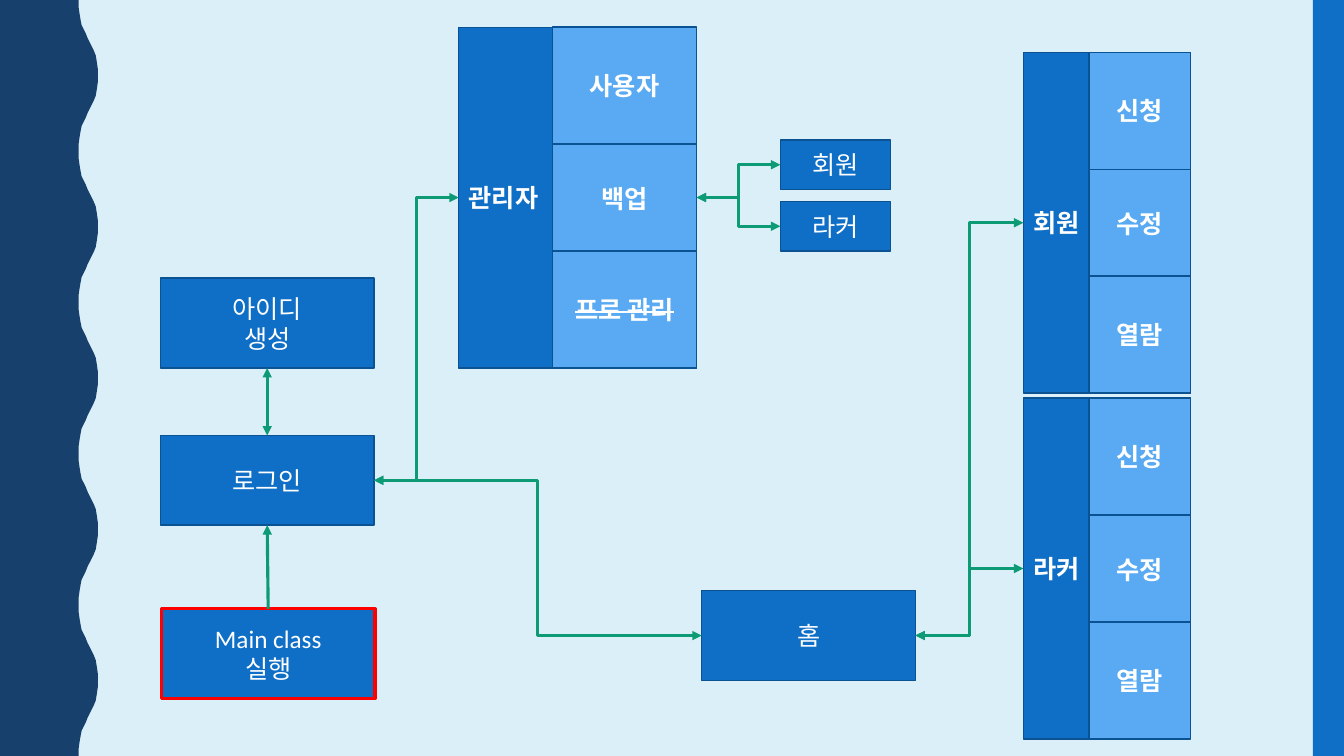
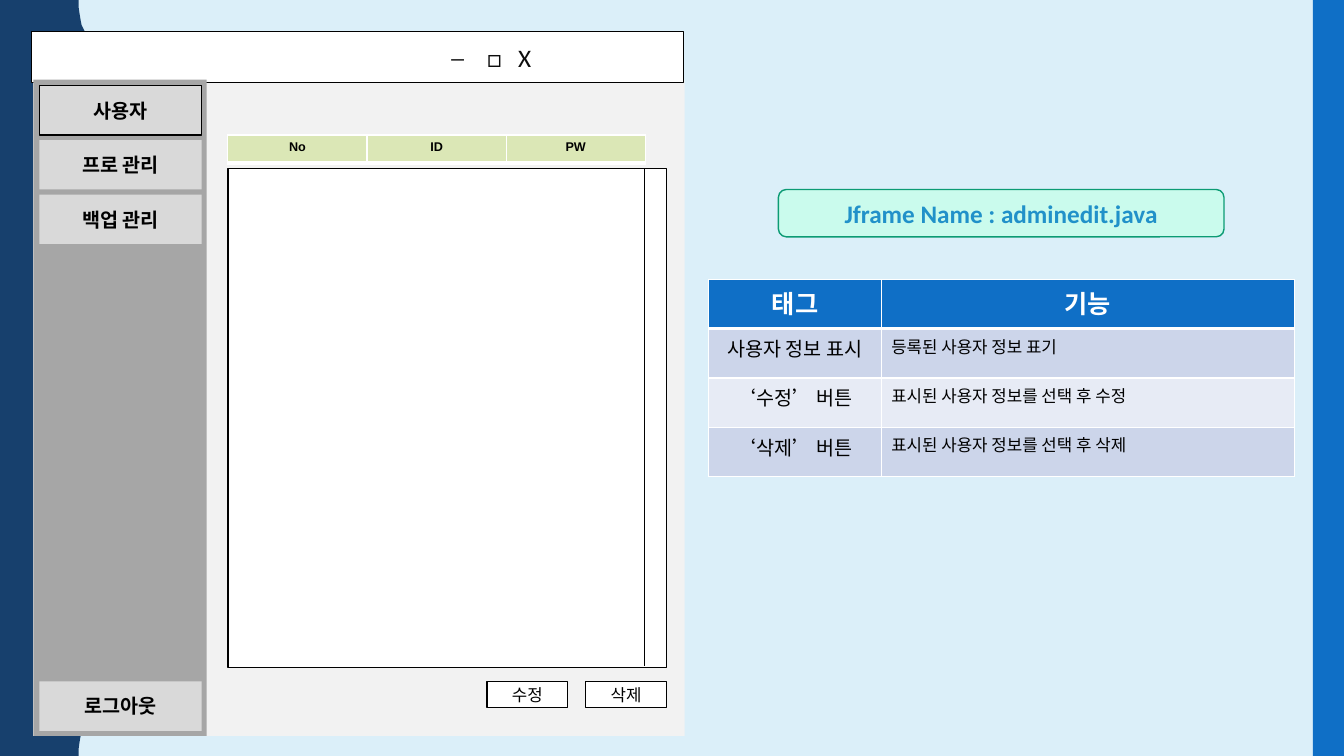
from lxml import etree
from pptx import Presentation
from pptx.dml.color import RGBColor
from pptx.enum.shapes import MSO_CONNECTOR, MSO_SHAPE
from pptx.enum.text import MSO_ANCHOR, PP_ALIGN
from pptx.oxml.ns import qn
from pptx.util import Inches, Pt

COLORS = {
    "sky": "DBEFF9", "navy": "17406D", "blue": "0F6FC6", "edge": "0B5292",
    "light_blue": "59AAF2", "green": "0C9B74", "mint": "CAFBED", "cyan": "2191C9",
    "red": "FF0000", "white": "FFFFFF", "black": "000000", "ink": "0D0D0D",
    "panel": "F2F2F2", "sidebar": "A6A6A6", "button": "D9D9D9",
    "lime": "DBE7B6", "row_dark": "CCD5EA", "row_light": "E7EBF5",
}
KOREAN = "Noto Sans CJK KR"
SLIDE_W, SLIDE_H = 13.33, 7.5
TOP, LEFT, BOTTOM, RIGHT = range(4)  # connection sites of a rectangle

# Half of one wave: (distance down, distance right)
WAVE_X, WAVE_PERIOD = 0.78, 1.5
WAVE = [(0, 0), (0.07, 0), (0.14, 0.01), (0.2, 0.02), (0.25, 0.03),
        (0.29, 0.05), (0.33, 0.07), (0.38, 0.09), (0.42, 0.11), (0.46, 0.13),
        (0.5, 0.15), (0.55, 0.17), (0.61, 0.18), (0.68, 0.19), (0.75, 0.19)]


def rgb(name):
    return RGBColor.from_string(COLORS[name])


def add_xml(parent, tag, **attrs):
    return etree.SubElement(parent, qn(tag), attrs)


def paint(sp, fill, line=None, width=1):
    sp.shadow.inherit = False
    sp.fill.solid()
    sp.fill.fore_color.rgb = rgb(fill)
    if line:
        sp.line.color.rgb = rgb(line)
        sp.line.width = Pt(width)
    else:
        sp.line.fill.background()


def write(tf, text, size, color, font="Arial", bold=False, align=PP_ALIGN.CENTER):
    tf.text = text
    for p in tf.paragraphs:
        p.alignment = align
        for r in p.runs:
            r.font.size = Pt(size)
            r.font.bold = bold
            r.font.name = font
            r.font.color.rgb = rgb(color)
            add_xml(r.font._element, "a:ea", typeface=KOREAN)


def add_box(shapes, at, fill, line=None, width=1, kind=MSO_SHAPE.RECTANGLE,
            text=None, **style):
    sp = shapes.add_shape(kind, *map(Inches, at))
    paint(sp, fill, line, width)
    if text:
        sp.text_frame.word_wrap = True
        sp.text_frame.vertical_anchor = MSO_ANCHOR.MIDDLE
        write(sp.text_frame, text, **style)
    return sp


def add_node(shapes, at, text, fill="blue", line="edge", width=1, **style):
    return add_box(shapes, at, fill, line, width, text=text,
                   size=18, color="white", **style)


def add_line(shapes, kind, start, end, color, width):
    line = shapes.add_connector(kind, *map(Inches, start + end))
    line.line.color.rgb = rgb(color)
    line.line.width = Pt(width)
    add_xml(line._element.spPr, "a:effectLst")
    return line


def link(slide, begin, begin_site, end, end_site,
         kind=MSO_CONNECTOR.ELBOW, both=True):
    """Join two shapes with a green arrow."""
    line = add_line(slide.shapes, kind, (0, 0), (1, 1), "green", 2.25)
    line.begin_connect(begin, begin_site)
    line.end_connect(end, end_site)
    ln = line.line._get_or_add_ln()
    if both:
        add_xml(ln, "a:headEnd", type="triangle")
    add_xml(ln, "a:tailEnd", type="triangle")


def add_menu(slide, x, y, label_w, item_w, label, items, struck=None):
    """Labelled frame with three stacked items; returns the frame."""
    shapes = slide.shapes.add_group_shape().shapes
    frame = add_node(shapes, (x, y, label_w + item_w, 3.38), label,
                     bold=True, align=PP_ALIGN.LEFT)
    offsets = (0, 1.12, 2.22)
    for i in (1, 0, 2):  # the outer items overlap the middle one
        sp = add_node(shapes, (x + label_w, y + offsets[i], item_w, 1.16),
                      items[i], "light_blue", bold=True)
        if items[i] == struck:
            sp.text_frame.paragraphs[0].runs[0].font._element.set("strike", "sngStrike")
    return frame


def set_borders(cell, bottom=1):
    tc_pr = cell._tc.get_or_add_tcPr()
    sides = (("a:lnL", 1), ("a:lnR", 1), ("a:lnT", 1), ("a:lnB", bottom))
    for i, (tag, width) in enumerate(sides):
        ln = etree.Element(qn(tag), w=str(Pt(width)))
        add_xml(add_xml(ln, "a:solidFill"), "a:srgbClr", val=COLORS["white"])
        tc_pr.insert(i, ln)


def add_grid(slide, x, y, widths, row_h, rows, fills, styles):
    """Table with one fill per row; styles(row, column) gives the text style."""
    table = slide.shapes.add_table(
        len(rows), len(widths), Inches(x), Inches(y),
        Inches(sum(widths)), Inches(row_h * len(rows))).table
    for column, w in zip(table.columns, widths):
        column.width = Inches(w)
    for i, row in enumerate(rows):
        table.rows[i].height = Inches(row_h)
        for j, text in enumerate(row):
            cell = table.cell(i, j)
            cell.fill.solid()
            cell.fill.fore_color.rgb = rgb(fills[i])
            set_borders(cell, bottom=1 if i else 3)
            write(cell.text_frame, text, **styles(i, j))


def decorate_layout(layout, slide):
    """Put the background, wave and side bar on the shared layout."""
    layout.background.fill.solid()
    layout.background.fill.fore_color.rgb = rgb("sky")
    edge = []
    for k in range(round(SLIDE_H / WAVE_PERIOD)):
        top = k * WAVE_PERIOD
        edge += [(WAVE_X + dx, top + dy) for dy, dx in WAVE]
        edge += [(WAVE_X + dx, top + WAVE_PERIOD - dy) for dy, dx in WAVE[-2::-1]]
    builder = slide.shapes.build_freeform(0, 0, scale=1.0)
    builder.add_line_segments(
        [(Inches(x), Inches(y)) for x, y in edge + [(0, SLIDE_H)]], close=True)
    wave = builder.convert_to_shape()
    paint(wave, "navy")
    bar = add_box(slide.shapes, (13.02, 0, 0.31, SLIDE_H), "blue")
    for sp in (wave, bar):
        layout.shapes._spTree.append(sp._element)


def build_flow(slide):
    shapes = slide.shapes
    # Start, login and home
    main_class = add_node(shapes, (1.6, 6.04, 2.12, 0.89), "Main class\n실행",
                          line="red", width=2.25, font="Calibri")
    login, new_id, home = [
        add_node(shapes, (x, y, 2.12, 0.89), text, font="Calibri")
        for x, y, text in ((1.59, 4.32, "로그인"), (1.59, 2.76, "아이디\n생성"),
                           (6.96, 5.86, "홈"))]
    # Menus
    edits = ("신청", "수정", "열람")
    member = add_menu(slide, 10.15, 0.52, 0.65, 1.01, "회원", edits)
    locker = add_menu(slide, 10.15, 3.95, 0.65, 1.01, "라커", edits)
    admin = add_menu(slide, 4.55, 0.27, 0.93, 1.43, "관리자",
                     ("사용자", "백업", "프로 관리"), struck="프로 관리")
    backups = [add_node(shapes, (7.74, y, 1.09, 0.49), text)
               for y, text in ((1.39, "회원"), (2, "라커"))]
    # Arrows
    link(slide, main_class, TOP, login, BOTTOM, MSO_CONNECTOR.STRAIGHT, both=False)
    link(slide, login, TOP, new_id, BOTTOM, MSO_CONNECTOR.STRAIGHT)
    pairs = [(login, admin), (login, home), (home, member), (home, locker)]
    for begin, end in pairs + [(admin, sp) for sp in backups]:
        link(slide, begin, RIGHT, end, LEFT)


def build_window(slide):
    shapes = slide.shapes.add_group_shape().shapes
    # Window frame and title bar
    add_box(shapes, (0.33, 0.79, 6.46, 6.51), "panel")
    title_bar = add_box(shapes, (0.31, 0.31, 6.47, 0.51), "white", "black", 0.25,
                        text="\t─\t□\tX", size=18, color="ink", font="Calibri",
                        align=PP_ALIGN.LEFT)
    p_pr = title_bar.text_frame.paragraphs[0]._p.get_or_add_pPr()
    tabs = add_xml(p_pr, "a:tabLst")
    for pos in (4.07, 4.42, 4.73):
        add_xml(tabs, "a:tab", pos=str(Inches(pos)), algn="l")
    # Sidebar
    add_box(shapes, (0.33, 0.79, 1.72, 6.51), "sidebar")
    for y, text, line in ((0.85, "사용자", "black"), (1.39, "프로 관리", None),
                          (1.93, "백업 관리", None), (6.76, "로그아웃", None)):
        add_box(shapes, (0.39, y, 1.61, 0.49), "button", line,
                text=text, size=14, color="black", bold=True)
    # List area with scroll bar and buttons
    add_box(shapes, (2.26, 1.67, 4.35, 4.95), "white", "black")
    add_line(shapes, MSO_CONNECTOR.STRAIGHT, (6.39, 1.67), (6.39, 6.61), "black", 0.5)
    for x, text in ((4.83, "수정"), (5.81, "삭제")):
        add_box(shapes, (x, 6.76, 0.8, 0.26), "white", "black",
                text=text, size=12, color="black")


def function_style(row, column):
    if row == 0:
        return dict(size=18, color="white", font=KOREAN, bold=True)
    if column == 0:
        return dict(size=14, color="black", font=KOREAN)
    return dict(size=12, color="black", font=KOREAN, align=PP_ALIGN.LEFT)


def list_style(row, column):
    return dict(size=9, color="black", bold=True)


def build_admin_screen(slide):
    build_window(slide)
    # Tables
    functions = [("태그", "기능"),
                 ("사용자 정보 표시", "등록된 사용자 정보 표기"),
                 ("‘수정’ 버튼", "표시된 사용자 정보를 선택 후 수정"),
                 ("‘삭제’ 버튼", "표시된 사용자 정보를 선택 후 삭제")]
    add_grid(slide, 7.03, 2.77, (1.71, 4.1), 0.49, functions,
             ("blue", "row_dark", "row_light", "row_dark"), function_style)
    add_grid(slide, 2.26, 1.34, (1.38,) * 3, 0.28, [("No", "ID", "PW")],
             ("lime",), list_style)
    # Frame name
    add_box(slide.shapes, (7.72, 1.88, 4.42, 0.47), "mint", "green",
            kind=MSO_SHAPE.ROUNDED_RECTANGLE, text="Jframe Name : adminedit.java",
            size=18, color="cyan", font="Calibri", bold=True)


def main():
    prs = Presentation()
    prs.slide_width, prs.slide_height = Inches(SLIDE_W), Inches(SLIDE_H)
    blank = prs.slide_layouts[6]
    flow, admin = [prs.slides.add_slide(blank) for _ in range(2)]
    decorate_layout(blank, flow)
    build_flow(flow)
    build_admin_screen(admin)
    prs.save("out.pptx")


if __name__ == "__main__":
    main()
